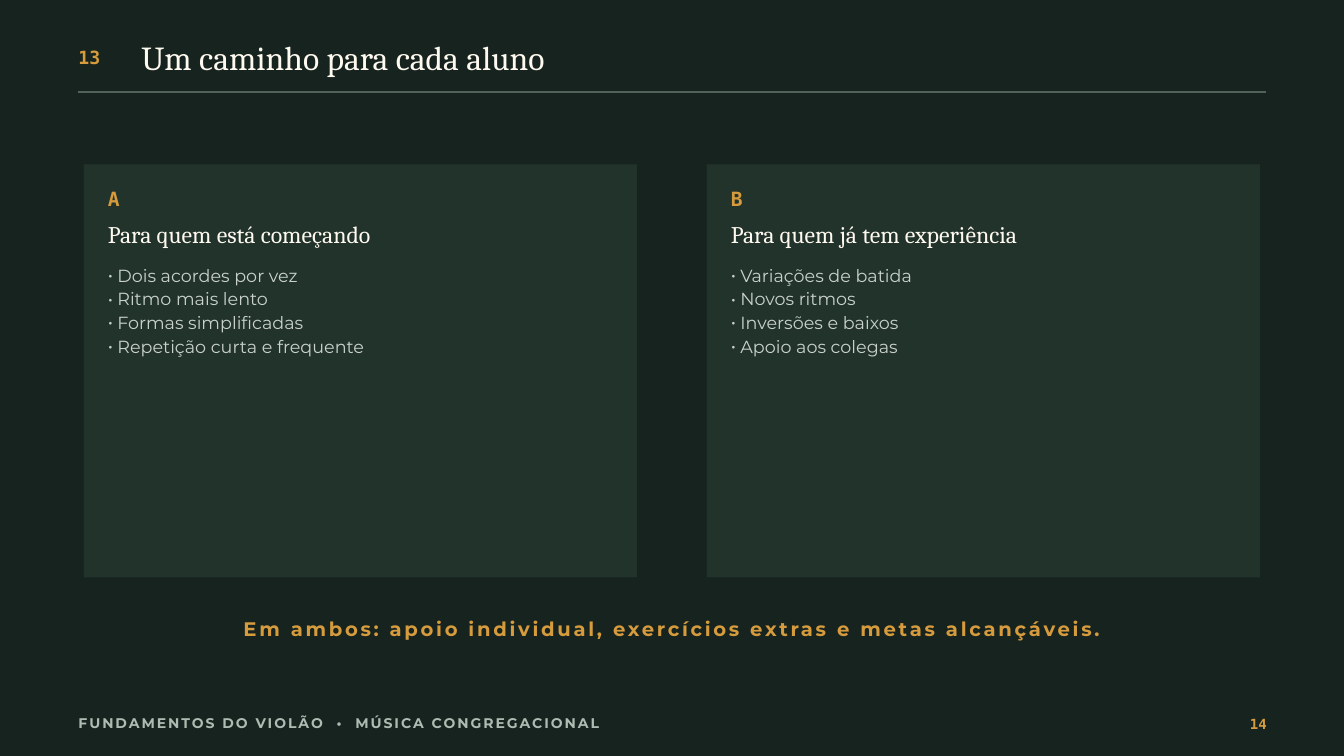
from lxml import etree
from pptx import Presentation
from pptx.dml.color import RGBColor
from pptx.enum.shapes import MSO_CONNECTOR, MSO_SHAPE
from pptx.enum.text import MSO_ANCHOR, MSO_AUTO_SIZE, PP_ALIGN
from pptx.oxml.ns import qn
from pptx.util import Pt

LEFT, MID, RIGHT = PP_ALIGN.LEFT, PP_ALIGN.CENTER, PP_ALIGN.RIGHT
TOP, NO_FIT = MSO_ANCHOR.TOP, MSO_AUTO_SIZE.NONE
RECT, LINE = MSO_SHAPE.RECTANGLE, MSO_CONNECTOR.STRAIGHT

NIGHT = RGBColor(0x17, 0x23, 0x1F)
PANEL = RGBColor(0x22, 0x33, 0x2C)
RULE = RGBColor(0x52, 0x63, 0x5A)
GOLD = RGBColor(0xD5, 0x9B, 0x3D)
CREAM = RGBColor(0xFF, 0xFA, 0xF0)
SAGE = RGBColor(0xC8, 0xD2, 0xCA)
GREY = RGBColor(0xAE, 0xBB, 0xB2)
SERIF, MONO, SANS = "Cambria", "DejaVu Sans Mono", "Montserrat"

EDGE = 84
CARD_X, CARD_Y, CARD_W, CARD_H = 90, 176.2, 592.5, 442.6
PITCH = 667.5
PAD = 25.5
INDENT = 10.2

CARDS = [
    ("A", "Para quem está começando",
     ["Dois acordes por vez", "Ritmo mais lento",
      "Formas simplificadas", "Repetição curta e frequente"]),
    ("B", "Para quem já tem experiência",
     ["Variações de batida", "Novos ritmos",
      "Inversões e baixos", "Apoio aos colegas"]),
]

deck = Presentation()
deck.slide_width, deck.slide_height = Pt(1440), Pt(810)
slide = deck.slides.add_slide(deck.slide_layouts[3])
slide.background.fill.solid()
slide.background.fill.fore_color.rgb = NIGHT
shapes = slide.shapes
title, *lists = slide.placeholders


def put_text(lines, x, y, w, h, *, size, lead, color, face, bold=False,
             align=LEFT, track=0, bullet=False, box=None):
    """Write lines into box, or into a new text box; lead is line height."""
    if box is None:
        box = shapes.add_textbox(Pt(x), Pt(y), Pt(w), Pt(h))
    box.left, box.top, box.width, box.height = Pt(x), Pt(y), Pt(w), Pt(h)
    frame = box.text_frame
    frame.word_wrap, frame.auto_size = True, NO_FIT
    frame.vertical_anchor = TOP
    frame.margin_left = frame.margin_right = 0
    frame.margin_top = frame.margin_bottom = 0
    frame.text = "\n".join(lines)
    for para in frame.paragraphs:
        if bullet:
            props = para._p.get_or_add_pPr()
            props.set("marL", str(Pt(INDENT)))
            props.set("indent", str(-Pt(INDENT)))
            etree.SubElement(props, qn("a:buFont")).set("typeface", face)
            etree.SubElement(props, qn("a:buChar")).set("char", "•")
        para.alignment = align
        para.line_spacing = Pt(lead)
        para.space_before = Pt(0)
        run = para.runs[0]
        font = run.font
        font.size, font.name, font.bold = Pt(size), face, bold
        font.color.rgb = color
        if track:
            run._r.get_or_add_rPr().set("spc", str(round(track * 100)))


# Heading
put_text(["13"], EDGE, 46, 52.5, 25, size=19.5, lead=27.3,
         color=GOLD, face=MONO, bold=True)
put_text(["Um caminho para cada aluno"], 151.5, 45, 1087, 39, size=36,
         lead=37.4, color=CREAM, face=SERIF, box=title)
rule = shapes.add_connector(LINE, Pt(EDGE), Pt(99), Pt(1440 - EDGE), Pt(99))
rule.line.color.rgb = RULE
rule.line.width = Pt(2)
etree.SubElement(rule.element.spPr, qn("a:effectLst"))

# Cards
for col, ((mark, head, items), body) in enumerate(zip(CARDS, lists)):
    left = CARD_X + col * PITCH
    card = shapes.add_shape(RECT, Pt(left), Pt(CARD_Y), Pt(CARD_W), Pt(CARD_H))
    card.shadow.inherit = False
    card.fill.solid()
    card.fill.fore_color.rgb = PANEL
    card.line.fill.background()
    shapes.element.insert(2, card.element)  # behind the list placeholders

    x, wide = left + PAD, CARD_W - 2 * PAD
    put_text([mark], x, 196, 52.5, 28, size=21, lead=29.4,
             color=GOLD, face=MONO, bold=True)
    put_text([head], x, 240, wide, 28, size=25.5, lead=26.5,
             color=CREAM, face=SERIF)
    put_text(items, x, 281, wide, 98, size=18.8, lead=25.3,
             color=SAGE, face=SANS, bullet=True, box=body)

# Closing line and footer
put_text(["Em ambos: apoio individual, exercícios extras e metas alcançáveis."],
         217.5, 656.5, 1005, 28, size=21, lead=29.4, color=GOLD, face=SANS,
         bold=True, align=MID, track=2.9)
put_text(["FUNDAMENTOS DO VIOLÃO  •  MÚSICA CONGREGACIONAL"],
         EDGE, 762.5, 675, 21, size=15, lead=21, color=GREY, face=SANS,
         bold=True, track=2.1)
put_text(["14"], 1304.8, 763.2, 52.5, 20, size=15, lead=21,
         color=GOLD, face=MONO, bold=True, align=RIGHT)

deck.save("out.pptx")
